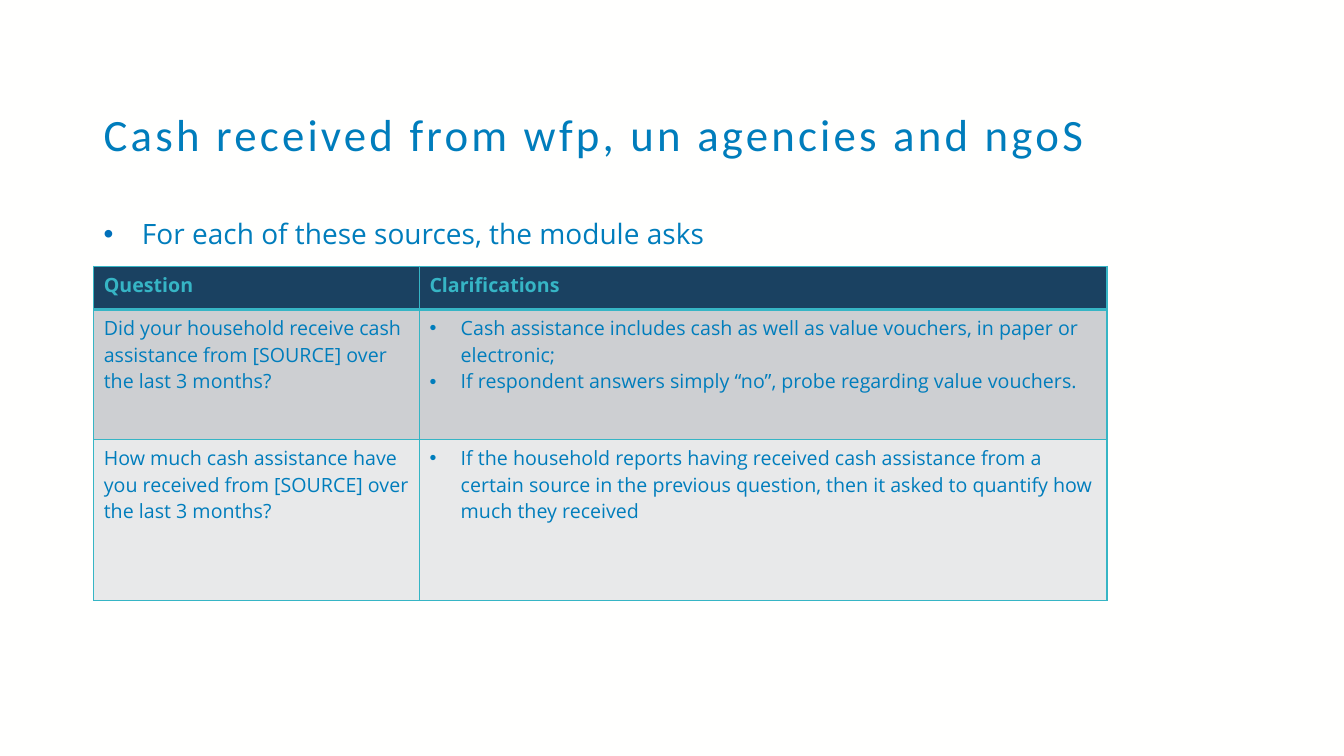
from lxml import etree
from pptx import Presentation
from pptx.dml.color import RGBColor
from pptx.enum.text import MSO_ANCHOR
from pptx.oxml.ns import qn
from pptx.util import Inches, Pt

MIDDLE, TOP = MSO_ANCHOR.MIDDLE, MSO_ANCHOR.TOP
BLUE, TEAL, NAVY = "007DBC", "36B5C5", "1A4161"
BACKGROUND, BULLET_BLUE = "FFFFFE", "0070BA"

TITLE = "Cash received from wfp, un agencies and ngoS"
INTRO = "For each of these sources, the module asks"
HEADER = ["Question", "Clarifications"]
QUESTIONS = [
    ("Did your household receive cash assistance from [SOURCE] over the last 3 months?",
     ["Cash assistance includes cash as well as value vouchers, in paper or electronic;",
      "If respondent answers simply “no”, probe regarding value vouchers."]),
    ("How much cash assistance have you received from [SOURCE] over the last 3 months?",
     ["If the household reports having received cash assistance from a certain source "
      "in the previous question, then it asked to quantify how much they received"]),
]
ROW_FILLS = [NAVY, "CDCFD2", "E8E9EA"]
COLUMNS = [3.23, 6.82]
ROWS = [0.43, 1.29, 1.6]
LEFT, WIDTH = 0.93, 11.53
TITLE_FONT = {"size": Pt(32), "name": "Calibri", "bold": False}
INTRO_FONT = {"size": Pt(20), "name": "Open Sans", "bold": False}
CELL_FONT = {"size": Pt(14), "name": "Open Sans", "bold": False}
HEADER_FONT = {**CELL_FONT, "bold": True}


def rgb(value):
    return RGBColor.from_string(value)


def add_fill(parent, color):
    fill = etree.SubElement(parent, qn("a:solidFill"))
    etree.SubElement(fill, qn("a:srgbClr"), val=color)


def add_bullet(p, indent, color):
    pPr = p._p.get_or_add_pPr()
    pPr.set("marL", str(Inches(indent)))
    pPr.set("indent", str(-Inches(indent)))
    clr = etree.SubElement(pPr, qn("a:buClr"))
    etree.SubElement(clr, qn("a:srgbClr"), val=color)
    etree.SubElement(pPr, qn("a:buFont"), typeface="Arial")
    etree.SubElement(pPr, qn("a:buChar"), char="•")


def write(tf, lines, font, color, indent=0, bullet_color=BLUE):
    tf.word_wrap = True
    for i, line in enumerate(lines):
        p = tf.add_paragraph() if i else tf.paragraphs[0]
        if indent:
            add_bullet(p, indent, bullet_color)
        r = p.add_run()
        r.text = line
        for name, value in font.items():
            setattr(r.font, name, value)
        r.font.color.rgb = rgb(color)


def add_text(s, top, height, anchor, *content):
    tf = s.shapes.add_textbox(*map(Inches, (LEFT, top, WIDTH, height))).text_frame
    tf.vertical_anchor = anchor
    write(tf, *content)
    return tf.paragraphs[0]


def add_borders(cell, widths):
    tcPr = cell._tc.get_or_add_tcPr()
    for i, (side, width) in enumerate(widths.items()):
        ln = etree.Element(qn("a:ln" + side), w=str(Pt(width)))
        add_fill(ln, TEAL)
        tcPr.insert(i, ln)


def add_questions(s):
    size = map(Inches, (LEFT, 2.64, sum(COLUMNS), sum(ROWS)))
    table = s.shapes.add_table(len(ROWS), len(COLUMNS), *size).table
    for column, width in zip(table.columns, COLUMNS):
        column.width = Inches(width)
    for row, height in zip(table.rows, ROWS):
        row.height = Inches(height)
    for i, texts in enumerate([HEADER, *QUESTIONS]):
        for j, text in enumerate(texts):
            cell = table.cell(i, j)
            cell.fill.solid()
            cell.fill.fore_color.rgb = rgb(ROW_FILLS[i])
            add_borders(cell, {"L": 1, "R": 1, "T": 3 if i == 1 else 1, "B": 1 if i else 3})
            if i == 0:
                write(cell.text_frame, [text], HEADER_FONT, TEAL)
            elif j == 0:
                write(cell.text_frame, [text], CELL_FONT, BLUE)
            else:
                write(cell.text_frame, text, CELL_FONT, BLUE, 0.31)


def main():
    prs = Presentation()
    prs.slide_width, prs.slide_height = Inches(13.33), Inches(7.5)
    s = prs.slides.add_slide(prs.slide_layouts[6])
    s.background.fill.solid()
    s.background.fill.fore_color.rgb = rgb(BACKGROUND)
    title = add_text(s, 0.73, 1.26, MIDDLE, [TITLE], TITLE_FONT, BLUE)
    title.line_spacing = 0.9
    title.runs[0].font._element.set("spc", "230")
    add_text(s, 2.1, 4.48, TOP, [INTRO], INTRO_FONT, BLUE, 0.38, BULLET_BLUE)
    add_questions(s)
    prs.save("out.pptx")


if __name__ == "__main__":
    main()
